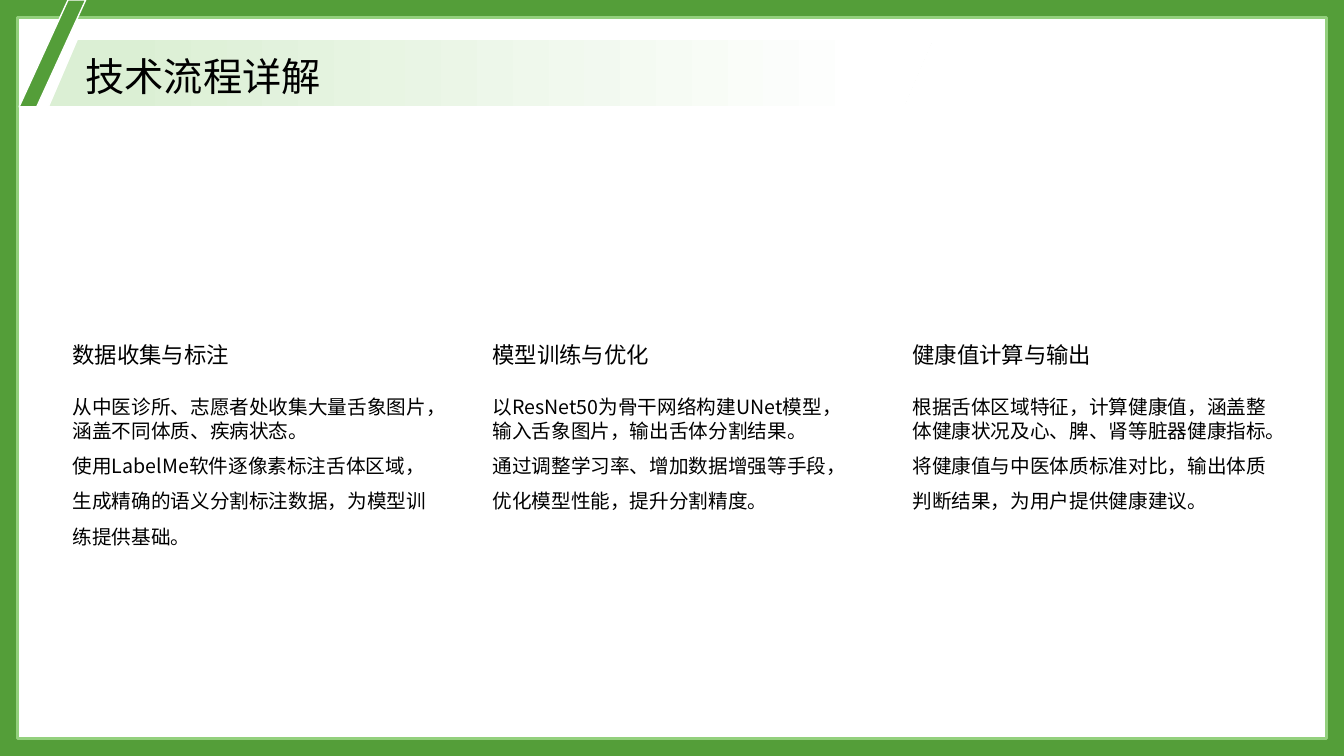
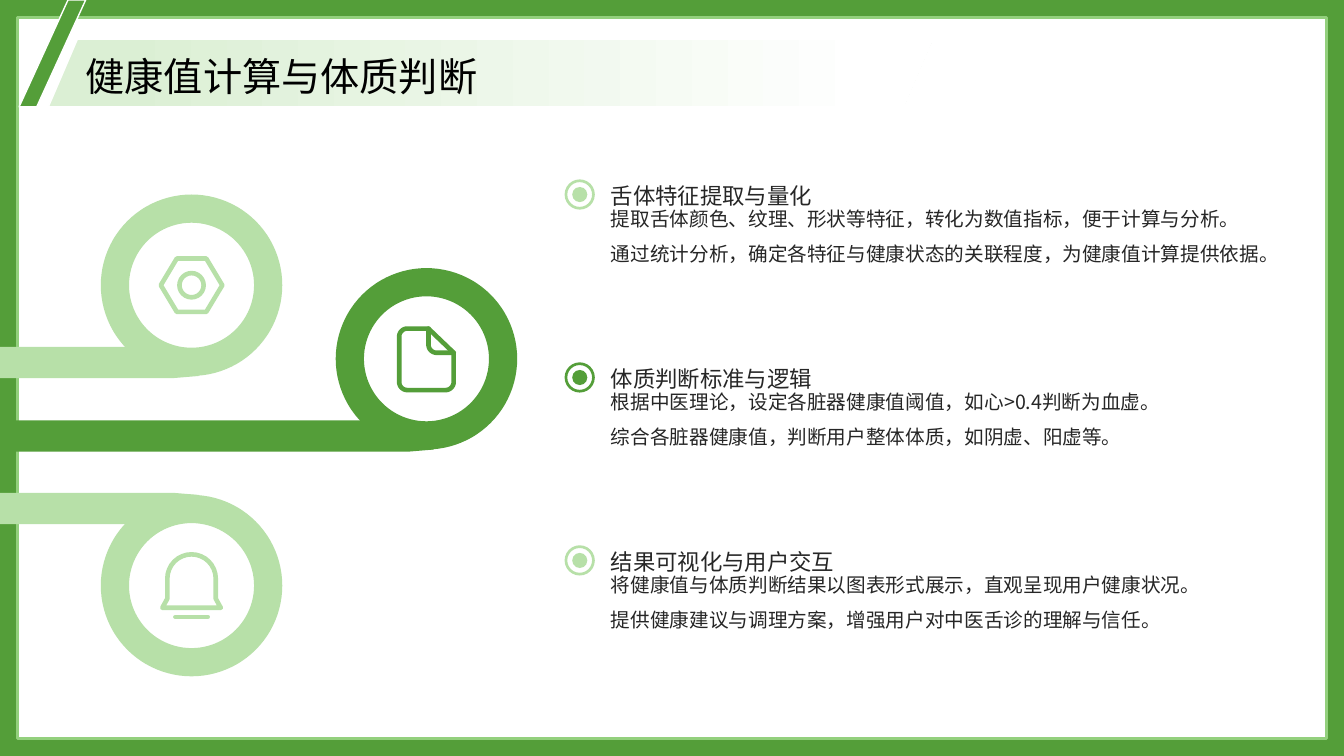
import math

import lxml.etree
import pptx
import pptx.dml.color
import pptx.enum.shapes
import pptx.enum.text
import pptx.oxml.ns
import pptx.util

Inches = pptx.util.Inches
Pt = pptx.util.Pt
SHAPE = pptx.enum.shapes.MSO_SHAPE
ANCHOR = pptx.enum.text.MSO_ANCHOR
qn = pptx.oxml.ns.qn

FONT = "Noto Sans CJK SC"
GREEN, LIGHT_GREEN, PALE_GREEN = "549E39", "B7E0A8", "DBEFD4"
FRAME_LINE, WHITE, BLACK, DARK_GREY = "93D07D", "FFFFFF", "000000", "262626"
SLIDE_WIDTH, SLIDE_HEIGHT = 13.33, 7.5
LINE_HEIGHT = 1.2  # single line spacing, in font sizes
ICON_LINE = 3.3
RING_RADIUS, RING_THICKNESS = 0.9, 0.28

FLOW_COLUMNS = [
    ("数据收集与标注",
     ["从中医诊所、志愿者处收集大量舌象图片，涵盖不同体质、疾病状态。",
      "使用LabelMe软件逐像素标注舌体区域，生成精确的语义分割标注数据，为模型训练提供基础。"]),
    ("模型训练与优化",
     ["以ResNet50为骨干网络构建UNet模型，输入舌象图片，输出舌体分割结果。",
      "通过调整学习率、增加数据增强等手段，优化模型性能，提升分割精度。"]),
    ("健康值计算与输出",
     ["根据舌体区域特征，计算健康值，涵盖整体健康状况及心、脾、肾等脏器健康指标。",
      "将健康值与中医体质标准对比，输出体质判断结果，为用户提供健康建议。"]),
]
JUDGEMENT_ROWS = [
    ("舌体特征提取与量化", LIGHT_GREEN,
     ["提取舌体颜色、纹理、形状等特征，转化为数值指标，便于计算与分析。",
      "通过统计分析，确定各特征与健康状态的关联程度，为健康值计算提供依据。"]),
    ("体质判断标准与逻辑", GREEN,
     ["根据中医理论，设定各脏器健康值阈值，如心>0.4判断为血虚。",
      "综合各脏器健康值，判断用户整体体质，如阴虚、阳虚等。"]),
    ("结果可视化与用户交互", LIGHT_GREEN,
     ["将健康值与体质判断结果以图表形式展示，直观呈现用户健康状况。",
      "提供健康建议与调理方案，增强用户对中医舌诊的理解与信任。"]),
]


def color(hex_string):
    return pptx.dml.color.RGBColor.from_string(hex_string)


def paint(shape, fill=None, line=None, line_width=1):
    """Set fill and outline; None means there is none."""
    shape.shadow.inherit = False
    if fill:
        shape.fill.solid()
        shape.fill.fore_color.rgb = color(fill)
    else:
        shape.fill.background()
    if line:
        shape.line.color.rgb = color(line)
        shape.line.width = Pt(line_width)
    else:
        shape.line.fill.background()


def add_preset(slide, kind, box, adjustment=None, **format):
    shape = slide.shapes.add_shape(kind, *map(Inches, box))
    if adjustment is not None:
        shape.adjustments[0] = adjustment
    paint(shape, **format)
    return shape


def add_centred(slide, kind, center, size, adjustment=None, **format):
    (x, y), (width, height) = center, size
    box = (x - width / 2, y - height / 2, width, height)
    return add_preset(slide, kind, box, adjustment, **format)


def add_outline(slide, origin, points, closed=True, **format):
    """Draw a freeform through points given relative to origin."""
    first, *rest = [(Inches(origin[0] + x), Inches(origin[1] + y)) for x, y in points]
    builder = slide.shapes.build_freeform(*first, scale=1.0)
    builder.add_line_segments(rest, close=closed)
    shape = builder.convert_to_shape()
    paint(shape, **format)
    if "line" in format:
        round_line(shape)
    return shape


def round_line(shape):
    line = shape.element.find(".//" + qn("a:ln"))
    line.set("cap", "rnd")
    lxml.etree.SubElement(line, qn("a:round"))


def arc(x, y, radius, start, end, steps=16):
    """Points of an arc; angles in degrees, clockwise from the right."""
    angles = [math.radians(start + (end - start) * i / steps) for i in range(steps + 1)]
    return [(x + radius * math.cos(a), y + radius * math.sin(a)) for a in angles]


def write_text(shape, paragraphs, size=14, fill=BLACK, spacings=(1,), anchor=ANCHOR.TOP):
    """Write paragraphs, each with its own spacing in multiples of a line."""
    frame = shape.text_frame
    frame.word_wrap = True
    frame.auto_size = pptx.enum.text.MSO_AUTO_SIZE.NONE
    frame.vertical_anchor = anchor
    frame.margin_left = frame.margin_right = frame.margin_top = frame.margin_bottom = 0
    for index, (text, spacing) in enumerate(zip(paragraphs, spacings)):
        paragraph = frame.add_paragraph() if index else frame.paragraphs[0]
        paragraph.alignment = pptx.enum.text.PP_ALIGN.LEFT
        paragraph.line_spacing = Pt(size * LINE_HEIGHT * spacing)
        paragraph.space_before = paragraph.space_after = Pt(0)
        run = paragraph.add_run()
        run.text = text
        run.font.size = Pt(size)
        run.font.color.rgb = color(fill)
        run.font.name = FONT
        east_asian = lxml.etree.SubElement(run.font._element, qn("a:ea"))
        east_asian.set("typeface", FONT)


def add_text(slide, box, paragraphs, **format):
    write_text(slide.shapes.add_textbox(*map(Inches, box)), paragraphs, **format)


def add_frame(slide):
    add_preset(slide, SHAPE.RECTANGLE, (0, 0, SLIDE_WIDTH, SLIDE_HEIGHT), fill=GREEN)
    border = 0.17
    inner = (border, border, SLIDE_WIDTH - 2 * border, SLIDE_HEIGHT - 2 * border)
    add_preset(slide, SHAPE.RECTANGLE, inner, fill=WHITE, line=FRAME_LINE, line_width=2)


def add_title_band(slide, text):
    band = add_preset(slide, SHAPE.PARALLELOGRAM, (0.48, 0.39, 8.77, 0.67), 0.429, line=WHITE)
    band.fill.gradient()
    band.fill.gradient_angle = 0
    stops = [(0.08, PALE_GREEN), (0.93, WHITE)]
    for stop, (position, stop_color) in zip(band.fill.gradient_stops, stops):
        stop.position = position
        stop.color.rgb = color(stop_color)

    title = slide.shapes.title
    title.left, title.top, title.width, title.height = map(Inches, (0.85, 0.47, 6.47, 0.51))
    write_text(title, [text], size=28, spacings=(1.1,), anchor=ANCHOR.MIDDLE)
    slide.shapes.element.append(title.element)  # bring above the band
    add_preset(slide, SHAPE.PARALLELOGRAM, (0.19, 0, 0.66, 1.06), 0.735, fill=GREEN, line=WHITE)


def new_slide(presentation, title):
    slide = presentation.slides.add_slide(presentation.slide_layouts[5])
    add_frame(slide)
    add_title_band(slide, title)
    return slide


def add_topic(slide, box, heading_height, heading, body, fill, anchor, overlap=0):
    """Place a heading with its two body paragraphs below it."""
    left, top, width, height = box
    add_text(slide, (left, top, width, heading_height), [heading],
             size=16, fill=fill, spacings=(1.3,), anchor=anchor)
    body_top = heading_height - overlap
    add_text(slide, (left, top + body_top, width, height - body_top), body,
             fill=fill, spacings=(1, 1.5))


def add_bullet(slide, center, fill):
    add_centred(slide, SHAPE.OVAL, center, (0.15, 0.15), fill=fill)
    add_centred(slide, SHAPE.DONUT, center, (0.3, 0.3), 0.09, fill=fill)


def add_hook(slide, center, fill, direction=1):
    """Ring with a bar to the left slide edge; direction -1 puts the bar on top."""
    diameter = 2 * RING_RADIUS
    add_centred(slide, SHAPE.DONUT, center, (diameter, diameter),
                RING_THICKNESS / diameter, fill=fill)
    edge = -center[0]
    bar = [(edge, 0.61), (-0.15, 0.61), (0.07, 0.75), (0.07, 0.9), (-0.17, 0.92), (edge, 0.92)]
    add_outline(slide, center, [(x, direction * y) for x, y in bar], fill=fill)


def add_nut_icon(slide, center, line):
    style = dict(line=line, line_width=ICON_LINE)
    add_centred(slide, SHAPE.HEXAGON, center, (0.61, 0.53), 0.3, **style)
    add_centred(slide, SHAPE.OVAL, center, (0.24, 0.24), **style)


def add_document_icon(slide, center, line):
    left, right, top, bottom, radius = -0.27, 0.27, -0.3, 0.31, 0.08
    fold_x, fold_y = 0.02, -0.06
    page = [(fold_x, top), (right, fold_y),
            *arc(right - radius, bottom - radius, radius, 0, 90),
            *arc(left + radius, bottom - radius, radius, 90, 180),
            *arc(left + radius, top + radius, radius, 180, 270)]
    flap = [(fold_x, top), *arc(fold_x + radius, fold_y - radius, radius, 180, 90),
            (right, fold_y)]
    for points, closed in ((page, True), (flap, False)):
        add_outline(slide, center, points, closed, line=line, line_width=ICON_LINE)


def add_bell_icon(slide, center, line):
    radius = 0.24
    bell = [(-0.29, 0.22), (-radius, 0.13), *arc(0, -0.07, radius, 180, 360),
            (radius, 0.13), (0.29, 0.22)]
    add_outline(slide, center, bell, line=line, line_width=ICON_LINE)

    x, y = center[0], center[1] + 0.31
    clapper = slide.shapes.add_connector(
        pptx.enum.shapes.MSO_CONNECTOR.STRAIGHT,
        *map(Inches, (x - 0.16, y, x + 0.16, y)))
    clapper.line.color.rgb = color(line)
    clapper.line.width = Pt(ICON_LINE)
    round_line(clapper)
    lxml.etree.SubElement(clapper.element.spPr, qn("a:effectLst"))


def build_flow_slide(presentation):
    slide = new_slide(presentation, "技术流程详解")
    left, pitch = 0.72, 4.165
    for index, (heading, body) in enumerate(FLOW_COLUMNS):
        add_topic(slide, (left + index * pitch, 3.04, 3.54, 2.51), 0.88,
                  heading, body, BLACK, ANCHOR.MIDDLE)


def build_judgement_slide(presentation):
    slide = new_slide(presentation, "健康值计算与体质判断")
    hooks = [
        ((1.9, 2.83), LIGHT_GREEN, 1, add_nut_icon),
        ((4.23, 3.56), GREEN, 1, add_document_icon),
        ((1.9, 5.81), LIGHT_GREEN, -1, add_bell_icon),
    ]
    for center, fill, direction, add_icon in hooks:
        add_hook(slide, center, fill, direction)
        add_icon(slide, center, fill)

    top, pitch = 1.35, 1.815
    for index, (heading, fill, body) in enumerate(JUDGEMENT_ROWS):
        row_top = top + index * pitch
        add_bullet(slide, (5.75, row_top + 0.58), fill)
        add_topic(slide, (6.06, row_top, 6.54, 1.84), 0.72,
                  heading, body, DARK_GREY, ANCHOR.BOTTOM, overlap=0.02)


def main():
    presentation = pptx.Presentation()
    presentation.slide_width = Inches(SLIDE_WIDTH)
    presentation.slide_height = Inches(SLIDE_HEIGHT)
    build_flow_slide(presentation)
    build_judgement_slide(presentation)
    presentation.save("out.pptx")


if __name__ == "__main__":
    main()
